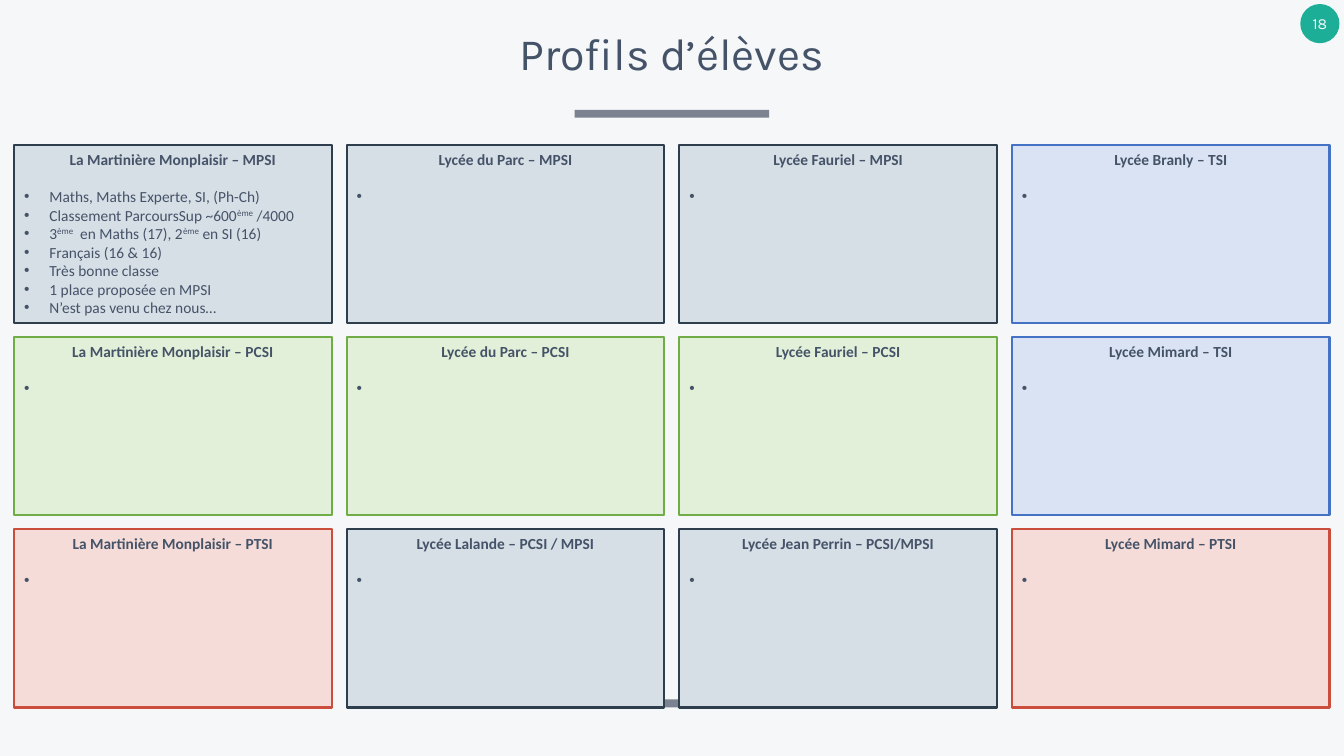
from lxml.etree import SubElement
from pptx import Presentation
from pptx.dml.color import RGBColor
from pptx.enum.shapes import MSO_SHAPE as Preset
from pptx.enum.text import MSO_ANCHOR as Anchor, MSO_AUTO_SIZE as AutoSize, PP_ALIGN as Align
from pptx.oxml.ns import qn
from pptx.util import Pt

PAPER = RGBColor(0xF5, 0xF7, 0xF9)
INK = RGBColor(0x45, 0x53, 0x68)
TEAL = RGBColor(0x1D, 0xAE, 0x97)
BAR_GREY = RGBColor(0x7C, 0x83, 0x90)

# Card styles: fill and line
SLATE = RGBColor(0xD6, 0xDE, 0xE6), RGBColor(0x2E, 0x3E, 0x4D)
GREEN = RGBColor(0xE2, 0xF0, 0xD9), RGBColor(0x70, 0xAD, 0x47)
RED = RGBColor(0xF5, 0xDC, 0xD8), RGBColor(0xCB, 0x4E, 0x3D)
BLUE = RGBColor(0xDA, 0xE3, 0xF3), RGBColor(0x44, 0x72, 0xC4)

TITLE_FONT = {"name": "Karla", "size": Pt(32), "bold": False}
BADGE_FONT = {"name": "Karla", "size": Pt(11)}
HEADING_FONT = {"name": "Calibri", "size": Pt(11), "bold": True}
ITEM_FONT = {"name": "Calibri", "size": Pt(11), "bold": False}

# Card grid
LEFT, TOP = 10.08, 103.5
STEP_X, STEP_Y = 237.6, 137.2
CARD_WIDTH, CARD_HEIGHT = 226.8, 127.5

CARDS = [
    [("La Martinière Monplaisir – MPSI", SLATE), ("Lycée du Parc – MPSI", SLATE),
     ("Lycée Fauriel – MPSI", SLATE), ("Lycée Branly – TSI", BLUE)],
    [("La Martinière Monplaisir – PCSI", GREEN), ("Lycée du Parc – PCSI", GREEN),
     ("Lycée Fauriel – PCSI", GREEN), ("Lycée Mimard – TSI", BLUE)],
    [("La Martinière Monplaisir – PTSI", RED), ("Lycée Lalande – PCSI / MPSI", SLATE),
     ("Lycée Jean Perrin – PCSI/MPSI", SLATE), ("Lycée Mimard – PTSI", RED)],
]
# Carets enclose superscripts
PROFILE = [
    "Maths, Maths Experte, SI, (Ph-Ch)",
    "Classement ParcoursSup ~600^ème^ /4000",
    "3^ème^  en Maths (17), 2^ème^ en SI (16)",
    "Français (16 & 16)",
    "Très bonne classe",
    "1 place proposée en MPSI",
    "N’est pas venu chez nous…",
]
BLANK_ITEM = [" "]


def apply_format(target, values):
    for name, value in values.items():
        setattr(target, name, value)


def place(box, left, top, width, height):
    apply_format(box, {"left": Pt(left), "top": Pt(top),
                       "width": Pt(width), "height": Pt(height)})


def set_font(font, values, color):
    apply_format(font, values)
    font.color.rgb = color


def add_block(page, preset, left, top, width, height, fill):
    block = page.shapes.add_shape(preset, Pt(left), Pt(top), Pt(width), Pt(height))
    block.shadow.inherit = False
    block.fill.solid()
    block.fill.fore_color.rgb = fill
    block.line.fill.background()
    return block


def set_bullet(para, bullet):
    props = para._p.get_or_add_pPr()
    indent = Pt(18) if bullet else 0
    props.set("marL", str(indent))
    props.set("indent", str(-indent))
    if bullet:
        SubElement(props, qn("a:buFont"), typeface="Arial")
        SubElement(props, qn("a:buChar"), char="•")
    else:
        SubElement(props, qn("a:buNone"))


def write_para(para, text, values, align, after=0, bullet=False):
    apply_format(para, {"alignment": align, "line_spacing": 1.0,
                        "space_before": Pt(0), "space_after": Pt(after)})
    set_bullet(para, bullet)
    set_font(para.font, values, INK)
    for index, part in enumerate(text.split("^")):
        span = para.add_run()
        span.text = part
        set_font(span.font, values, INK)
        if index % 2:
            span._r.get_or_add_rPr().set("baseline", "30000")


def fill_card(box, heading, items, style):
    fill, line = style
    box.fill.solid()
    box.fill.fore_color.rgb = fill
    box.line.color.rgb = line
    box.line.width = Pt(1.5)
    frame = box.text_frame
    apply_format(frame, {"word_wrap": True, "auto_size": AutoSize.NONE,
                         "vertical_anchor": Anchor.TOP})
    write_para(frame.paragraphs[0], heading, HEADING_FONT, Align.CENTER, after=13.4)
    for item in items:
        write_para(frame.add_paragraph(), item, ITEM_FONT, Align.LEFT, bullet=True)


def add_badge(page, number):
    badge = add_block(page, Preset.OVAL, 928.8, 2.9, 28, 28, TEAL)
    frame = badge.text_frame
    apply_format(frame, {"margin_left": 0, "margin_right": 0, "margin_top": 0,
                         "margin_bottom": 0, "word_wrap": False,
                         "vertical_anchor": Anchor.MIDDLE})
    para = frame.paragraphs[0]
    para.alignment = Align.CENTER
    span = para.add_run()
    span.text = number
    set_font(span.font, BADGE_FONT, PAPER)


def write_title(title, text):
    place(title, 31, 0, 897.8, 80.6)
    apply_format(title.text_frame, {"word_wrap": True, "auto_size": AutoSize.NONE,
                                    "vertical_anchor": Anchor.MIDDLE})
    para = title.text_frame.paragraphs[0]
    para.text = text
    apply_format(para, {"alignment": Align.CENTER, "line_spacing": 0.9})
    set_font(para.runs[0].font, TITLE_FONT, INK)


def main():
    deck = Presentation()
    apply_format(deck, {"slide_width": Pt(960), "slide_height": Pt(540)})
    page = deck.slides.add_slide(deck.slide_layouts[1])
    page.background.fill.solid()
    page.background.fill.fore_color.rgb = PAPER

    # Page number, bars and title
    add_badge(page, "18")
    for top in (78.4, 499.6):
        add_block(page, Preset.RECTANGLE, 410.4, top, 139, 5.7, BAR_GREY)
    write_title(page.shapes.title, "Profils d’élèves")

    # Cards: the first one is the body placeholder
    for row, cards in enumerate(CARDS):
        for column, (heading, style) in enumerate(cards):
            area = (LEFT + column * STEP_X, TOP + row * STEP_Y, CARD_WIDTH, CARD_HEIGHT)
            if row == column == 0:
                box, items = page.placeholders[1], PROFILE
                place(box, *area)
            else:
                box, items = add_block(page, Preset.RECTANGLE, *area, style[0]), BLANK_ITEM
            fill_card(box, heading, items, style)

    deck.save("out.pptx")


if __name__ == "__main__":
    main()
